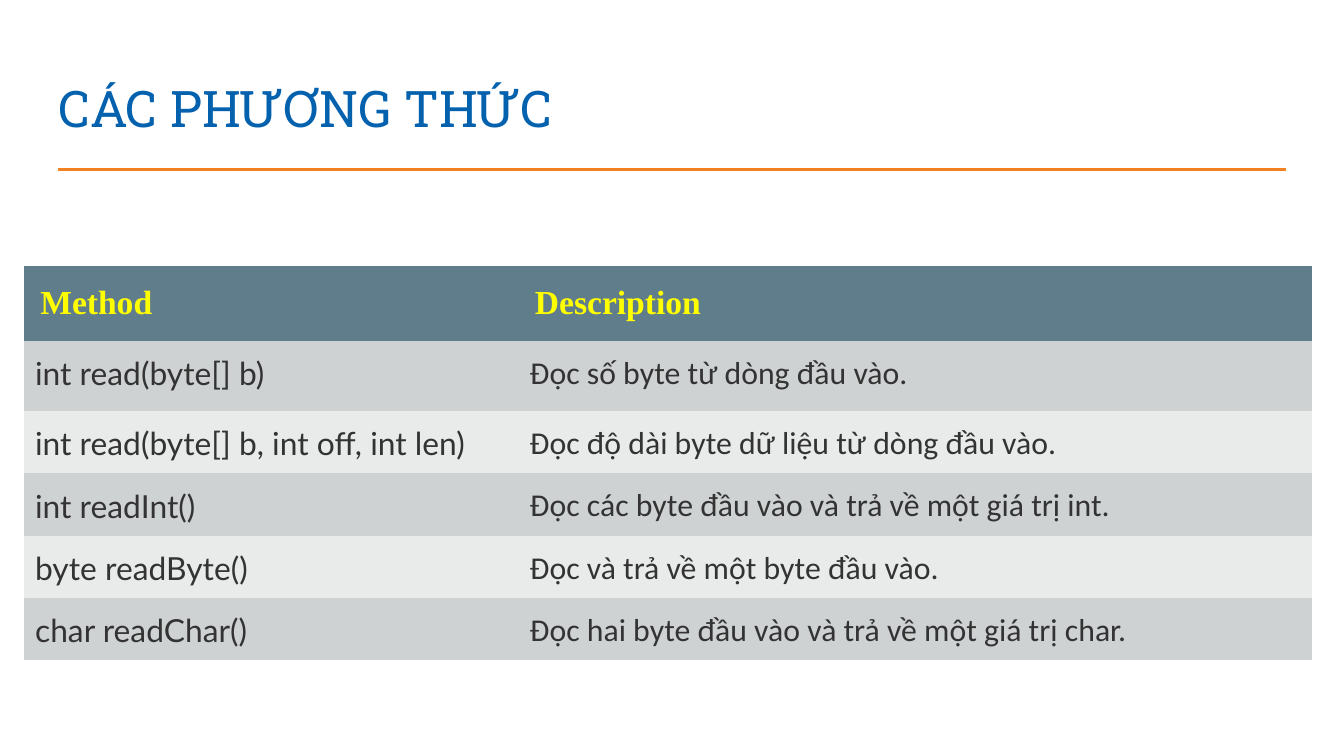
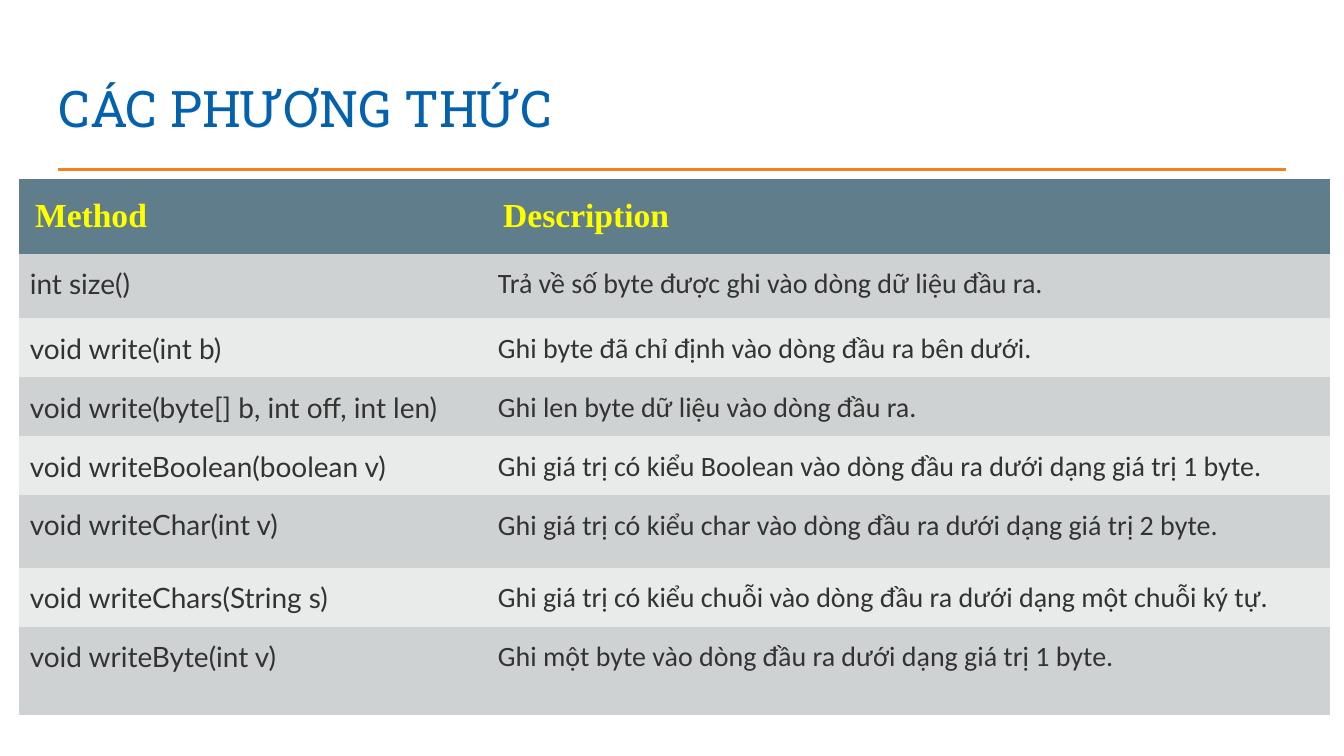
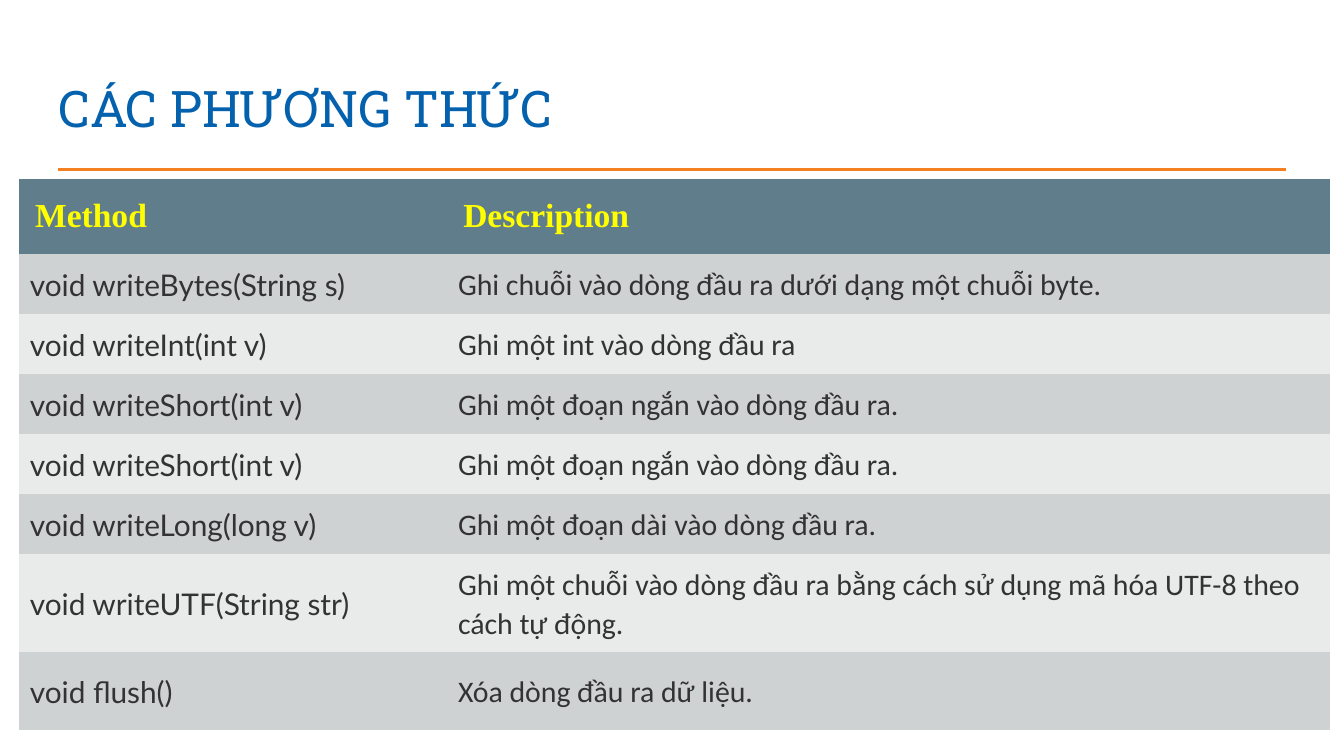
from pptx import Presentation
from pptx.dml.color import RGBColor
from pptx.enum.shapes import MSO_CONNECTOR
from pptx.enum.text import MSO_ANCHOR, PP_ALIGN
from pptx.oxml.ns import qn
from pptx.util import Pt
from lxml.etree import SubElement

PLAIN = "{2D5ABB26-0587-4C30-8999-92F81FD0307C}"


def tint(code):
    return RGBColor.from_string(code)


def write(frame, text, font, size, color, bold=False, align=PP_ALIGN.LEFT, lead=1, after=0):
    para = frame.paragraphs[0]
    para.alignment = align
    para.line_spacing = lead
    para.space_after = Pt(after)
    run = para.add_run()
    run.text = text
    run.font.name = font
    run.font.size = Pt(size)
    run.font.bold = bold
    run.font.color.rgb = tint(color)


class Deck:
    blue, rust, ink = "0361AE", "F48121", "333333"
    head, gold = "607D8B", "FFFF00"
    bands = "CFD2D3", "E9EAEA"

    def __init__(self):
        self.prs = Presentation()
        self.prs.slide_width, self.prs.slide_height = Pt(720), Pt(405)
        self.slide = None

    def page(self, title):
        self.slide = self.prs.slides.add_slide(self.prs.slide_layouts[6])
        self.rule(31, 90.7, 689)
        self.title(title)

    def rule(self, left, top, right):
        line = self.slide.shapes.add_connector(
            MSO_CONNECTOR.STRAIGHT, Pt(left), Pt(top), Pt(right), Pt(top))
        line.line.color.rgb = tint(self.rust)
        line.line.width = Pt(1.5)
        SubElement(line._element.spPr, qn("a:effectLst"))

    def title(self, text):
        box = self.slide.shapes.add_textbox(Pt(24.5), Pt(35.3), Pt(671), Pt(45.4))
        frame = box.text_frame
        frame.word_wrap = True
        frame.vertical_anchor = MSO_ANCHOR.BOTTOM
        frame.margin_left = frame.margin_right = Pt(7.2)
        frame.margin_top = frame.margin_bottom = Pt(7.2)
        write(frame, text, "Roboto Slab", 27, self.blue)

    def cell(self, cell, text, fill, pad, anchor=MSO_ANCHOR.TOP, **style):
        cell.fill.solid()
        cell.fill.fore_color.rgb = tint(fill)
        cell.margin_left = cell.margin_right = Pt(pad)
        cell.margin_top = cell.margin_bottom = Pt(pad)
        cell.vertical_anchor = anchor
        write(cell.text_frame, text, lead=1.07, **style)

    def table(self, left, top, height, cols, rows, items, size, anchor=MSO_ANCHOR.TOP):
        shape = self.slide.shapes.add_table(
            len(rows), len(cols), Pt(left), Pt(top), Pt(sum(cols)), Pt(height))
        for node in shape._element.iter(qn("a:tableStyleId")):
            node.text = PLAIN
        grid = shape.table
        for col, width in zip(grid.columns, cols):
            col.width = Pt(width)
        for row, tall in zip(grid.rows, rows):
            row.height = Pt(tall)
        shape.height = Pt(height)
        for col, text in enumerate(("Method", "Description")):
            self.cell(grid.cell(0, col), text, self.head, 8.6,
                      font="Times New Roman", size=18, color=self.gold, bold=True)
        looks = (dict(font="Lato", align=PP_ALIGN.JUSTIFY), dict(font="Calibri", after=8))
        for row, pair in enumerate(items, 1):
            fill = self.bands[(row - 1) % 2]
            for col, (text, look) in enumerate(zip(pair, looks)):
                self.cell(grid.cell(row, col), text, fill, 5.8, anchor,
                          size=size, color=self.ink, **look)


READ = [
    ("int read(byte[] b)", "Đọc số byte từ dòng đầu vào."),
    ("int read(byte[] b, int off, int len)", "Đọc độ dài byte dữ liệu từ dòng đầu vào."),
    ("int readInt()", "Đọc các byte đầu vào và trả về một giá trị int."),
    ("byte readByte()", "Đọc và trả về một byte đầu vào."),
    ("char readChar()", "Đọc hai byte đầu vào và trả về một giá trị char."),
]
WRITE = [
    ("int size()", "Trả về số byte được ghi vào dòng dữ liệu đầu ra."),
    ("void write(int b)", "Ghi byte đã chỉ định vào dòng đầu ra bên dưới."),
    ("void write(byte[] b, int off, int len)", "Ghi len byte dữ liệu vào dòng đầu ra."),
    ("void writeBoolean(boolean v)",
     "Ghi giá trị có kiểu Boolean vào dòng đầu ra dưới dạng giá trị 1 byte."),
    ("void writeChar(int v)",
     "Ghi giá trị có kiểu char vào dòng đầu ra dưới dạng giá trị 2 byte."),
    ("void writeChars(String s)",
     "Ghi giá trị có kiểu chuỗi vào dòng đầu ra dưới dạng một chuỗi ký tự."),
    ("void writeByte(int v)", "Ghi một byte vào dòng đầu ra dưới dạng giá trị 1 byte."),
]
MORE = [
    ("void writeBytes(String s)", "Ghi chuỗi vào dòng đầu ra dưới dạng một chuỗi byte."),
    ("void writeInt(int v)", "Ghi một int vào dòng đầu ra"),
    ("void writeShort(int v)", "Ghi một đoạn ngắn vào dòng đầu ra."),
    ("void writeShort(int v)", "Ghi một đoạn ngắn vào dòng đầu ra."),
    ("void writeLong(long v)", "Ghi một đoạn dài vào dòng đầu ra."),
    ("void writeUTF(String str)",
     "Ghi một chuỗi vào dòng đầu ra bằng cách sử dụng mã hóa UTF-8 theo cách tự động."),
    ("void flush()", "Xóa dòng đầu ra dữ liệu."),
]


def main():
    deck = Deck()
    name = "CÁC PHƯƠNG THỨC"
    deck.page(name)
    deck.table(13, 142.3, 213.8, (265, 424.8), (25, 37.5, 23, 23, 23, 23), READ, 17)
    deck.page(name)
    deck.table(10.2, 95.8, 287.3, (250.8, 451.6),
               (39, 34.5, 31.6, 31.6, 31.6, 39, 31.6, 47.4), WRITE, 15)
    deck.page(name)
    deck.table(10.2, 95.8, 298.8, (229.4, 473),
               (39, 31, 27.4, 31, 31, 31, 31, 41.8), MORE, 16, MSO_ANCHOR.MIDDLE)
    deck.prs.save("out.pptx")


if __name__ == "__main__":
    main()
